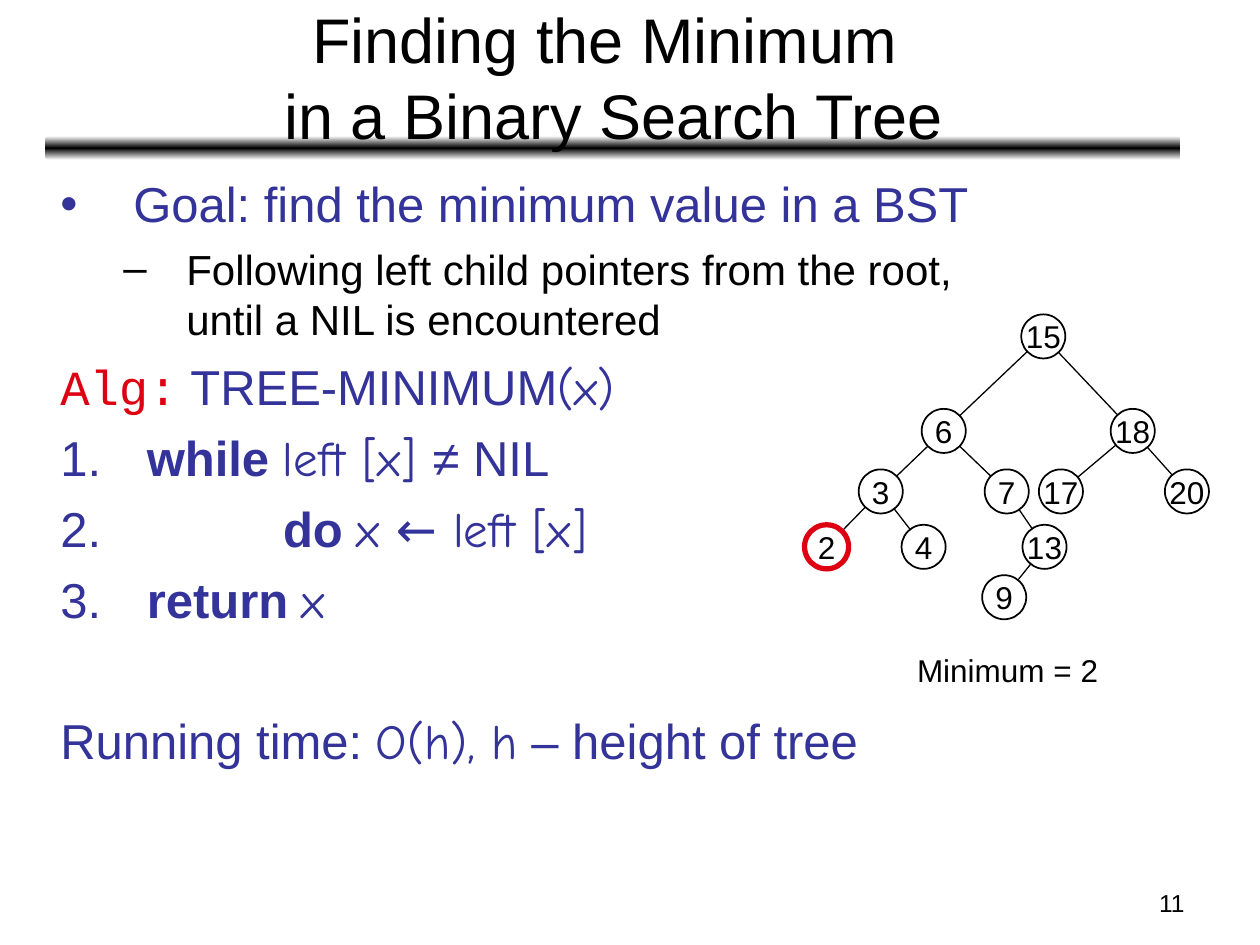
"""Build a slide on finding the minimum in a binary search tree."""
from dataclasses import dataclass
from typing import Optional

from lxml.etree import SubElement
from pptx import Presentation
from pptx.dml.color import RGBColor
from pptx.enum.shapes import MSO_CONNECTOR as Connector, MSO_SHAPE as Shape
from pptx.enum.text import MSO_ANCHOR as Anchor, PP_ALIGN as Align
from pptx.oxml.ns import qn
from pptx.util import Inches, Pt


@dataclass(frozen=True)
class Theme:
    black: str = "000000"
    white: str = "FFFFFF"
    blue: str = "333399"
    red: str = "DD0111"
    sans: str = "Arial"
    comic: str = "Comic Neue"
    mono: str = "Courier New"
    title: int = 36
    body: int = 28
    detail: int = 24
    label: int = 18
    number: int = 14


THEME = Theme()


@dataclass(frozen=True)
class Span:
    text: str
    font: str = THEME.sans
    color: str = THEME.blue
    size: int = THEME.body
    bold: bool = False


@dataclass(frozen=True)
class Line:
    spans: tuple[Span, ...]
    margin: float = 0.58
    hanging: float = 0.58
    before: int = 7
    bullet: Optional[str] = None
    step: Optional[int] = None


@dataclass(frozen=True)
class Node:
    value: int
    x: float
    y: float
    parent: Optional[int] = None
    found: bool = False


DIAMETER = 0.35
NODES = (
    Node(15, 8.28, 2.67),
    Node(6, 7.49, 3.42, 15),
    Node(18, 8.99, 3.42, 15),
    Node(3, 6.99, 3.9, 6),
    Node(7, 7.99, 3.9, 6),
    Node(17, 8.42, 3.9, 18),
    Node(20, 9.42, 3.9, 18),
    Node(2, 6.56, 4.34, 3, found=True),
    Node(4, 7.33, 4.34, 3),
    Node(13, 8.29, 4.34, 7),
    Node(9, 7.97, 4.74, 13),
)
LINES = (
    Line((Span("Goal: find the minimum value in a BST"),), bullet="•"),
    Line((Span("Following left child pointers from the root, until a NIL is encountered",
               color=THEME.black, size=THEME.detail),),
         margin=1, hanging=0.5, before=6, bullet="–"),
    Line((Span("Alg:", THEME.mono, THEME.red), Span(" TREE-MINIMUM"), Span("(x)", THEME.comic))),
    Line((Span(" "), Span("while ", bold=True), Span("left [x] ", THEME.comic), Span("≠ NIL")),
         step=1),
    Line((Span(" "), Span("do ", bold=True), Span("x ← left [x]", THEME.comic)),
         margin=1.66, hanging=1.66, step=2),
    Line((Span(" "), Span("return ", bold=True), Span("x", THEME.comic)), step=3),
    Line((Span("Running time: "), Span("O(h), h", THEME.comic), Span(" – height of tree")),
         before=47),
)


def rgb(color: str) -> RGBColor:
    return RGBColor.from_string(color)


def style(font, size: int, color: str, name: str = THEME.sans, bold: bool = False) -> None:
    font.size, font.name, font.bold = Pt(size), name, bold
    font.color.rgb = rgb(color)


def add_label(page, text: str, at: tuple[float, ...], size: int,
              align=Align.LEFT, anchor=Anchor.TOP, wrap: bool = True) -> None:
    frame = page.shapes.add_textbox(*map(Inches, at)).text_frame
    frame.word_wrap, frame.vertical_anchor = wrap, anchor
    frame.text = text
    para = frame.paragraphs[0]
    para.alignment = align
    for run in para.runs:
        style(run.font, size, THEME.black)


def add_rule(page) -> None:
    rule = page.shapes.add_shape(Shape.ROUNDED_RECTANGLE, *map(Inches, (0.36, 1.08, 9.01, 0.19)))
    rule.shadow.inherit = False
    rule.line.fill.background()
    rule.fill.gradient()
    rule.fill.gradient_angle = 270
    stops = rule.fill._fill._gradFill.find(qn("a:gsLst"))
    for stop in list(stops):
        stops.remove(stop)
    for position, color in ((0, THEME.white), (50000, THEME.black), (100000, THEME.white)):
        stop = SubElement(stops, qn("a:gs"), pos=str(position))
        SubElement(stop, qn("a:srgbClr"), val=color)


def set_marker(para, line: Line) -> None:
    properties = para._p.get_or_add_pPr()
    properties.set("marL", str(Inches(line.margin)))
    properties.set("indent", str(-Inches(line.hanging)))
    if line.bullet or line.step:
        color = SubElement(properties, qn("a:buClr"))
        SubElement(color, qn("a:srgbClr"), val=line.spans[0].color)
    if line.bullet:
        SubElement(properties, qn("a:buFont"), typeface=THEME.sans)
        SubElement(properties, qn("a:buChar"), char=line.bullet)
    elif line.step:
        SubElement(properties, qn("a:buAutoNum"), type="arabicPeriod", startAt=str(line.step))
    else:
        SubElement(properties, qn("a:buNone"))


def add_body(page, lines: tuple[Line, ...]) -> None:
    frame = page.shapes.add_textbox(*map(Inches, (0.38, 1.33, 7.62, 5.54))).text_frame
    frame.word_wrap = True
    for index, line in enumerate(lines):
        para = frame.add_paragraph() if index else frame.paragraphs[0]
        para.space_before = Pt(line.before)
        set_marker(para, line)
        for span in line.spans:
            run = para.add_run()
            run.text = span.text
            style(run.font, span.size, span.color, span.font, span.bold)


def add_edge(page, parent: Node, child: Node) -> None:
    edge = page.shapes.add_connector(
        Connector.STRAIGHT, *map(Inches, (parent.x, parent.y, child.x, child.y)))
    edge.line.color.rgb = rgb(THEME.black)
    edge.line.width = Pt(0.75)
    SubElement(edge._element.spPr, qn("a:effectLst"))


def add_node(page, node: Node) -> None:
    corner = (node.x - DIAMETER / 2, node.y - DIAMETER / 2)
    circle = page.shapes.add_shape(Shape.OVAL, *map(Inches, (*corner, DIAMETER, DIAMETER)))
    circle.shadow.inherit = False
    circle.fill.solid()
    circle.fill.fore_color.rgb = rgb(THEME.white)
    circle.line.color.rgb = rgb(THEME.red if node.found else THEME.black)
    circle.line.width = Pt(3 if node.found else 1)
    frame = circle.text_frame
    frame.text = str(node.value)
    frame.word_wrap, frame.vertical_anchor = False, Anchor.MIDDLE
    para = frame.paragraphs[0]
    para.alignment = Align.CENTER
    style(para.runs[0].font, THEME.label, THEME.black)


def add_tree(page, nodes: tuple[Node, ...]) -> None:
    by_value = {node.value: node for node in nodes}
    for node in nodes:
        if node.parent is not None:
            add_edge(page, by_value[node.parent], node)
    for node in nodes:
        add_node(page, node)


def main() -> None:
    deck = Presentation()
    deck.slide_width, deck.slide_height = Inches(10), Inches(7.5)
    page = deck.slides.add_slide(deck.slide_layouts[6])
    add_rule(page)
    add_label(page, "11", (7.17, 7, 2.33, 0.35), THEME.number, Align.RIGHT)
    add_label(page, "Finding the Minimum \vin a Binary Search Tree", (0.37, 0.11, 9, 0.99),
              THEME.title, Align.CENTER, Anchor.MIDDLE)
    add_body(page, LINES)
    add_tree(page, NODES)
    add_label(page, "Minimum = 2", (7.18, 5.12, 1.64, 0.7), THEME.label, wrap=False)
    deck.save("out.pptx")


if __name__ == "__main__":
    main()
